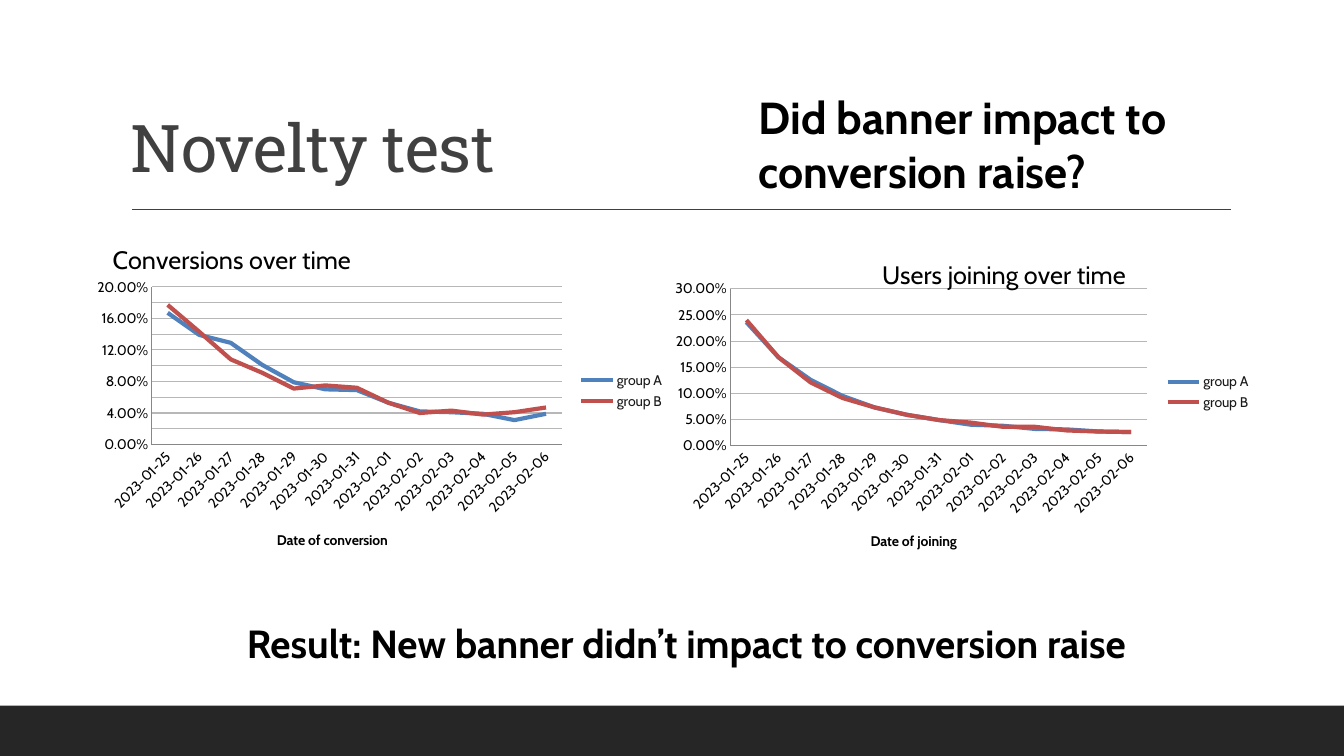
from lxml import etree
from pptx import Presentation
from pptx.chart.data import CategoryChartData
from pptx.dml.color import RGBColor
from pptx.enum.chart import XL_CHART_TYPE, XL_LEGEND_POSITION, XL_TICK_MARK
from pptx.enum.shapes import MSO_CONNECTOR, MSO_SHAPE
from pptx.enum.text import MSO_ANCHOR
from pptx.oxml.ns import qn
from pptx.util import Cm, Pt

LINE_CHART = XL_CHART_TYPE.LINE
LEGEND_RIGHT = XL_LEGEND_POSITION.RIGHT
NO_TICK = XL_TICK_MARK.NONE
STRAIGHT = MSO_CONNECTOR.STRAIGHT
RECTANGLE = MSO_SHAPE.RECTANGLE
TOP, BOTTOM = MSO_ANCHOR.TOP, MSO_ANCHOR.BOTTOM

BODY_FONT, TITLE_FONT = "Cabin", "Roboto Slab"
SLIDE_WIDTH, SLIDE_HEIGHT, FOOTER_HEIGHT = 33.87, 19.05, 1.27
DATES = [f"2023-01-{day}" for day in range(25, 32)] + [f"2023-02-{day:02}" for day in range(1, 7)]
GROUP_COLORS = ["4F81BD", "C0504D"]
PLOT_AREA = (0.113, 0.209, 0.7, 0.45)
LEGEND_AREA = (0.84, 0.44, 0.15, 0.13)

CHARTS = [
    {
        "title": "Conversions over time", "title_at": (0.038, 0.07),
        "axis": "Date of conversion", "axis_at": (0.322, 0.896),
        "frame": (2.16, 5.38, 14.76, 8.84), "top": 0.2, "step": 0.02,
        "groups": {
            "group A": [0.167, 0.139, 0.129, 0.101, 0.079, 0.07, 0.069,
                        0.053, 0.042, 0.041, 0.039, 0.031, 0.039],
            "group B": [0.177, 0.143, 0.108, 0.091, 0.071, 0.075, 0.072,
                        0.053, 0.04, 0.043, 0.038, 0.041, 0.047],
        },
    },
    {
        "title": "Users joining over time", "title_at": (0.36, 0.107),
        "axis": "Date of joining", "axis_at": (0.344, 0.896),
        "frame": (16.71, 5.44, 15.01, 8.79), "top": 0.3, "step": 0.05,
        "groups": {
            "group A": [0.236, 0.169, 0.126, 0.095, 0.073, 0.059, 0.049,
                        0.04, 0.038, 0.032, 0.031, 0.027, 0.026],
            "group B": [0.24, 0.169, 0.121, 0.091, 0.073, 0.059, 0.049,
                        0.044, 0.036, 0.036, 0.029, 0.027, 0.026],
        },
    },
]


def color(value):
    return RGBColor.from_string(value)


def style(font, size, shade="000000", bold=False, name=BODY_FONT):
    font.name, font.size, font.bold = name, Pt(size), bold
    font.color.rgb = color(shade)


def add_text(page, text, frame, size, bold=True, shade="000000",
             name=BODY_FONT, wrap=True, anchor=TOP):
    box = page.shapes.add_textbox(*map(Cm, frame))
    box.text_frame.word_wrap = wrap
    box.text_frame.vertical_anchor = anchor
    box.text_frame.text = text
    para = box.text_frame.paragraphs[0]
    style(para.runs[0].font, size, shade, bold, name)
    return para


def place(chart, query, area):
    parent = chart.element.xpath(query)[0]
    for old in parent.findall(qn("c:layout")):
        parent.remove(old)
    layout = etree.Element(qn("c:layout"))
    manual = etree.SubElement(layout, qn("c:manualLayout"))
    settings = [("xMode", "edge"), ("yMode", "edge"), *zip("xywh", area)]
    if "plotArea" in query:
        settings.insert(0, ("layoutTarget", "inner"))
    for key, value in settings:
        etree.SubElement(manual, qn(f"c:{key}")).set("val", str(value))
    overlay = parent.find(qn("c:overlay"))
    if overlay is None:
        parent.insert(0, layout)
    else:
        overlay.addprevious(layout)


def set_title(owner, text, size, bold):
    owner.text_frame.text = text
    style(owner.text_frame.paragraphs[0].runs[0].font, size, bold=bold)


def add_line_chart(page, content):
    data = CategoryChartData(number_format="0.00%")
    data.categories = DATES
    for name, values in content["groups"].items():
        data.add_series(name, values)
    chart = page.shapes.add_chart(LINE_CHART, *map(Cm, content["frame"]), data).chart
    style(chart.font, 10)
    chart.has_title = True
    set_title(chart.chart_title, content["title"], 18, False)

    dates, rates = chart.category_axis, chart.value_axis
    for axis in (dates, rates):
        axis.major_tick_mark = axis.minor_tick_mark = NO_TICK
        style(axis.tick_labels.font, 10)
        axis.format.line.color.rgb = color("878787")
    dates.has_title = True
    set_title(dates.axis_title, content["axis"], 10, True)
    chart.element.xpath(".//c:catAx/c:txPr/a:bodyPr")[0].set("rot", "-2700000")
    rates.minimum_scale, rates.maximum_scale = 0, content["top"]
    rates.major_unit = content["step"]
    rates.tick_labels.number_format = "0.00%"
    rates.tick_labels.number_format_is_linked = False
    rates.major_gridlines.format.line.color.rgb = color("B7B7B7")
    rates.major_gridlines.format.line.width = Pt(0.75)

    chart.has_legend = True
    chart.legend.position = LEGEND_RIGHT
    chart.legend.include_in_layout = False
    style(chart.legend.font, 10, "1A1A1A")
    for series, shade in zip(chart.plots[0].series, GROUP_COLORS):
        series.smooth = False
        series.format.line.color.rgb = color(shade)
        series.format.line.width = Pt(3)

    place(chart, "./c:chart/c:title", content["title_at"])
    place(chart, ".//c:catAx/c:title", content["axis_at"])
    place(chart, ".//c:plotArea", PLOT_AREA)
    place(chart, ".//c:legend", LEGEND_AREA)


def main():
    """Build the novelty test slide."""
    deck = Presentation()
    deck.slide_width, deck.slide_height = Cm(SLIDE_WIDTH), Cm(SLIDE_HEIGHT)
    page = deck.slides.add_slide(deck.slide_layouts[6])

    footer = page.shapes.add_shape(RECTANGLE, 0, Cm(SLIDE_HEIGHT - FOOTER_HEIGHT),
                                   Cm(SLIDE_WIDTH), Cm(FOOTER_HEIGHT))
    footer.shadow.inherit = False
    footer.fill.solid()
    footer.fill.fore_color.rgb = color("262626")
    footer.line.fill.background()

    rule = page.shapes.add_connector(STRAIGHT, Cm(3.33), Cm(5.28), Cm(31.01), Cm(5.28))
    rule.line.color.rgb = color("404040")
    rule.line.width = Pt(1)
    etree.SubElement(rule.element.spPr, qn("a:effectLst"))

    heading = add_text(page, "Novelty test", (3.05, 0.79, 27.94, 4.04), 47, bold=False,
                       shade="404040", name=TITLE_FONT, anchor=BOTTOM)
    heading.line_spacing = 0.9
    heading.runs[0].font._element.set("spc", "-50")

    for content in CHARTS:
        add_line_chart(page, content)

    add_text(page, "Did banner impact to conversion raise?", (18.87, 2.13, 10.9, 3), 32)
    add_text(page, "Result: New banner didn’t impact to conversion raise",
             (5.97, 15.47, 22.68, 1.45), 28, wrap=False)
    deck.save("out.pptx")


if __name__ == "__main__":
    main()
